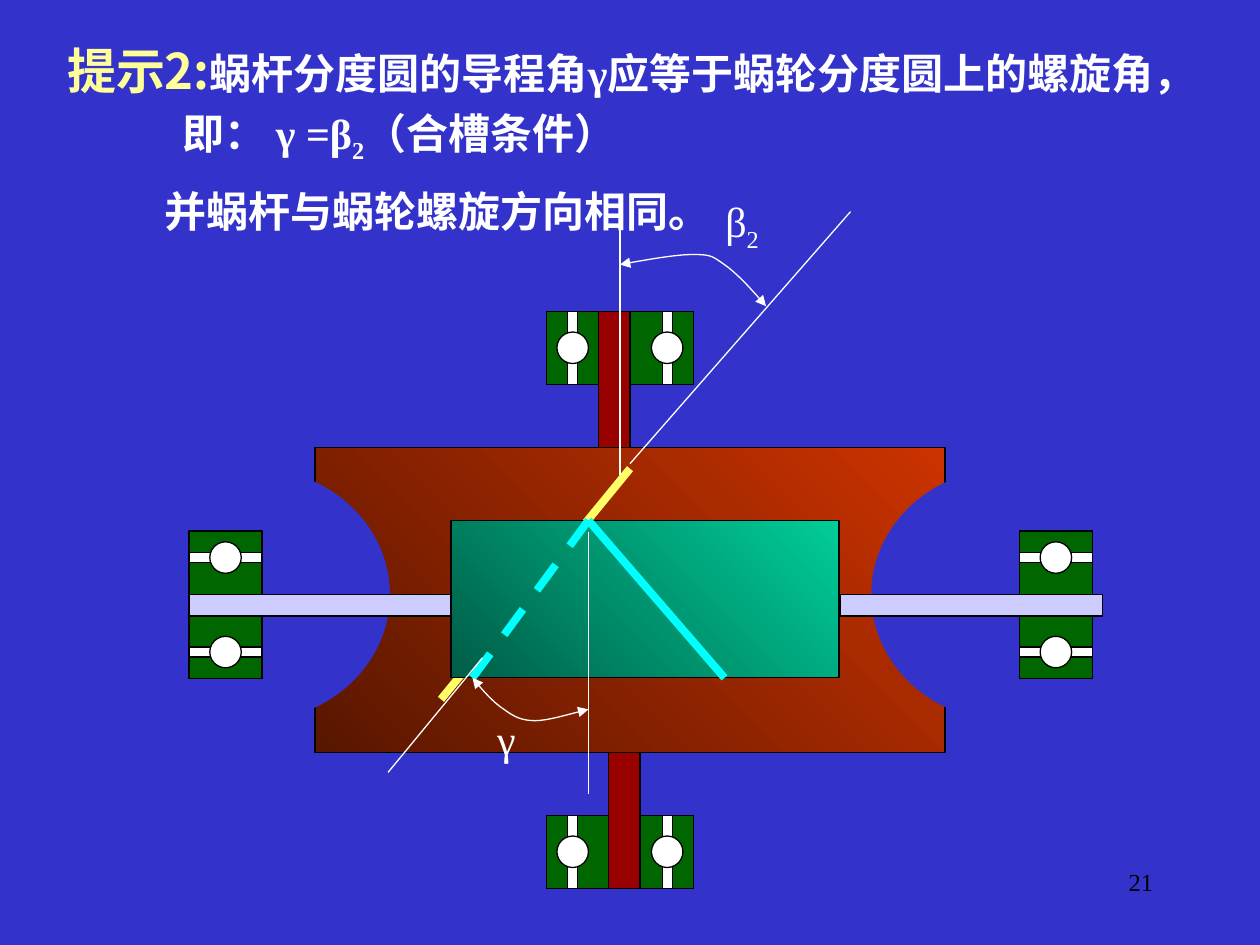
from lxml import etree
from pptx import Presentation
from pptx.dml.color import RGBColor
from pptx.enum.dml import MSO_LINE
from pptx.enum.shapes import MSO_CONNECTOR, MSO_SHAPE
from pptx.enum.text import MSO_ANCHOR, MSO_AUTO_SIZE, PP_ALIGN
from pptx.oxml.ns import qn
from pptx.util import Inches, Pt

RECTANGLE, OVAL = MSO_SHAPE.RECTANGLE, MSO_SHAPE.OVAL
STRAIGHT, DASH = MSO_CONNECTOR.STRAIGHT, MSO_LINE.DASH
CENTER, RIGHT = PP_ALIGN.CENTER, PP_ALIGN.RIGHT
MIDDLE, TOP = MSO_ANCHOR.MIDDLE, MSO_ANCHOR.TOP
FIXED_SIZE = MSO_AUTO_SIZE.NONE

color = RGBColor.from_string
BLUE, WHITE, BLACK = "3333CC", "FFFFFF", "000000"
GREEN, RED, LAVENDER = "006600", "990000", "CCCCFF"
YELLOW, CYAN, PALE_YELLOW = "FFFF66", "00FFFF", "FFFF99"
SERIF, SANS = "Times New Roman", "Noto Sans CJK SC"

presentation = Presentation()
presentation.slide_width, presentation.slide_height = Inches(10), Inches(7.5)
slide = presentation.slides.add_slide(presentation.slide_layouts[6])
slide.background.fill.solid()
slide.background.fill.fore_color.rgb = color(BLUE)


def add_text(runs, left, top, width, height, bold=False, wrap=False,
             align=CENTER, anchor=MIDDLE):
    """Add one paragraph of (text, size, hex colour, font, baseline) runs."""
    box = slide.shapes.add_textbox(Inches(left), Inches(top), Inches(width), Inches(height))
    frame = box.text_frame
    frame.word_wrap = wrap
    frame.auto_size = FIXED_SIZE
    frame.vertical_anchor = anchor
    paragraph = frame.paragraphs[0]
    paragraph.alignment = align
    for text, size, hex_color, font_name, baseline in runs:
        run = paragraph.add_run()
        run.text = text
        run.font.size = Pt(size)
        run.font.bold = bold
        run.font.name = font_name
        run.font.color.rgb = color(hex_color)
        properties = run.font._element
        etree.SubElement(properties, qn("a:ea"), typeface=SANS)
        if baseline:
            properties.set("baseline", str(baseline * 1000))


def set_line(shape, hex_color, width=0.75):
    shape.line.color.rgb = color(hex_color)
    shape.line.width = Pt(width)


# Page number and heading
add_text([("21", 14, BLACK, SERIF, 0)], 7.17, 6.83, 2.08, 0.5,
         wrap=True, align=RIGHT, anchor=TOP)
add_text([("提示2:", 28, PALE_YELLOW, SANS, 0),
          ("蜗杆分度圆的导程角γ应等于蜗轮分度圆上的螺旋角，", 24, WHITE, SERIF, 0)],
         0.07, 0.27, 9.88, 0.57, bold=True, wrap=True)
add_text([("即： γ =β", 24, WHITE, SERIF, 0), ("2", 24, WHITE, SERIF, -25),
          ("（合槽条件）", 24, WHITE, SERIF, 0)], 1.22, 0.8, 3.9, 0.56, bold=True)
add_text([("并蜗杆与蜗轮螺旋方向相同。", 24, WHITE, SERIF, 0)],
         1.21, 1.42, 4.53, 0.5, bold=True)

# Bearings: housing, two slots and two balls around a centre
bearings = {0: [], 270: []}
for center_x, center_y, rotation in ((4.92, 6.76, 0), (4.92, 2.76, 0),
                                     (1.79, 4.8, 270), (8.38, 4.8, 270)):
    parts = [(RECTANGLE, 1.17, 0.58, 0, GREEN)]
    parts += [(RECTANGLE, 0.08, 0.58, offset, WHITE) for offset in (0.375, -0.375)]
    parts += [(OVAL, 0.25, 0.25, offset, WHITE) for offset in (0.375, -0.375)]
    for kind, width, height, offset, fill in parts:
        x = center_x if rotation else center_x + offset
        y = center_y + offset if rotation else center_y
        bearings[rotation].append((kind, x - width / 2, y - height / 2,
                                   width, height, fill, BLACK, rotation))

# Worm wheel with its shaft, then worm with its shaft
wheel_shapes = bearings[0] + [
    (RECTANGLE, 2.5, 3.55, 5, 2.42, ("581600", "CC3300"), BLACK, 0),
    (RECTANGLE, 4.75, 2.47, 0.25, 1.08, RED, BLACK, 0),
    (RECTANGLE, 4.83, 5.97, 0.25, 1.08, RED, BLACK, 0),
    (OVAL, 0.92, 3.72, 2.17, 2, BLUE, BLUE, 0),
    (OVAL, 6.92, 3.72, 2.17, 2, BLUE, BLUE, 0),
]
wheel_lines = [
    (5, 3.72, 3.5, 5.55, YELLOW, 4.5, None),
    (5, 3.68, 6.75, 1.68, WHITE, 0.75, None),
    (4.92, 3.77, 4.92, 1.77, WHITE, 0.75, None),
]
worm_shapes = bearings[270] + [
    (RECTANGLE, 3.58, 4.13, 3.08, 1.25, ("005E47", "00CC99"), BLACK, 0),
    (RECTANGLE, 1.5, 4.72, 2.08, 0.17, LAVENDER, BLACK, 0),
    (RECTANGLE, 6.67, 4.72, 2.08, 0.17, LAVENDER, BLACK, 0),
]
worm_lines = [
    (4.67, 4.13, 5.75, 5.38, CYAN, 4.5, None),
    (4.67, 4.13, 3.75, 5.38, CYAN, 4.5, DASH),
    (4.67, 4.22, 4.67, 6.3, WHITE, 0.75, None),
    (3.83, 5.22, 3.08, 6.13, WHITE, 0.75, None),
]
for shapes, lines in ((wheel_shapes, wheel_lines), (worm_shapes, worm_lines)):
    for kind, left, top, width, height, fill, outline, rotation in shapes:
        shape = slide.shapes.add_shape(kind, Inches(left), Inches(top),
                                       Inches(width), Inches(height))
        shape.shadow.inherit = False
        shape.rotation = rotation
        if isinstance(fill, tuple):
            shape.fill.gradient()
            shape.fill.gradient_angle = 45
            for stop, hex_color in zip(shape.fill.gradient_stops, fill):
                stop.color.rgb = color(hex_color)
        else:
            shape.fill.solid()
            shape.fill.fore_color.rgb = color(fill)
        set_line(shape, outline)
    for x1, y1, x2, y2, hex_color, width, dash in lines:
        line = slide.shapes.add_connector(STRAIGHT, Inches(x1), Inches(y1),
                                          Inches(x2), Inches(y2))
        set_line(line, hex_color, width)
        if dash:
            line.line.dash_style = dash
        etree.SubElement(line._element.spPr, qn("a:effectLst"))

# Angle arcs: chained cubic curves, each segment sharing its end point
beta_arc = [(4.92, 2.1), (5.14, 2.06), (5.36, 2.02), (5.5, 2.02), (5.64, 2.02),
            (5.65, 2.03), (5.75, 2.1), (5.85, 2.17), (5.97, 2.3), (6.08, 2.43)]
gamma_arc = [(3.75, 5.38), (3.83, 5.48), (3.92, 5.58), (4, 5.63), (4.08, 5.69),
             (4.14, 5.72), (4.25, 5.72), (4.36, 5.72), (4.58, 5.65), (4.67, 5.63)]
STEPS = 10
for arc in (beta_arc, gamma_arc):
    points = []
    for start in range(0, len(arc) - 1, 3):
        for step in range(1, STEPS + 1):
            t = step / STEPS
            weights = ((1 - t) ** 3, 3 * t * (1 - t) ** 2, 3 * t ** 2 * (1 - t), t ** 3)
            points.append([Inches(sum(weight * point[axis] for weight, point
                                      in zip(weights, arc[start:start + 4])))
                           for axis in (0, 1)])
    builder = slide.shapes.build_freeform(Inches(arc[0][0]), Inches(arc[0][1]))
    builder.add_line_segments(points, close=False)
    curve = builder.convert_to_shape()
    curve.shadow.inherit = False
    curve.fill.background()
    set_line(curve, WHITE)
    for end in ("a:headEnd", "a:tailEnd"):
        etree.SubElement(curve.line._get_or_add_ln(), qn(end), type="triangle")

# Angle labels
add_text([("β", 24, WHITE, SERIF, 0), ("2", 24, WHITE, SERIF, -25)], 5.63, 1.5, 0.52, 0.56)
add_text([("γ", 24, WHITE, SERIF, 0)], 3.85, 5.61, 0.34, 0.5)

presentation.save("out.pptx")
